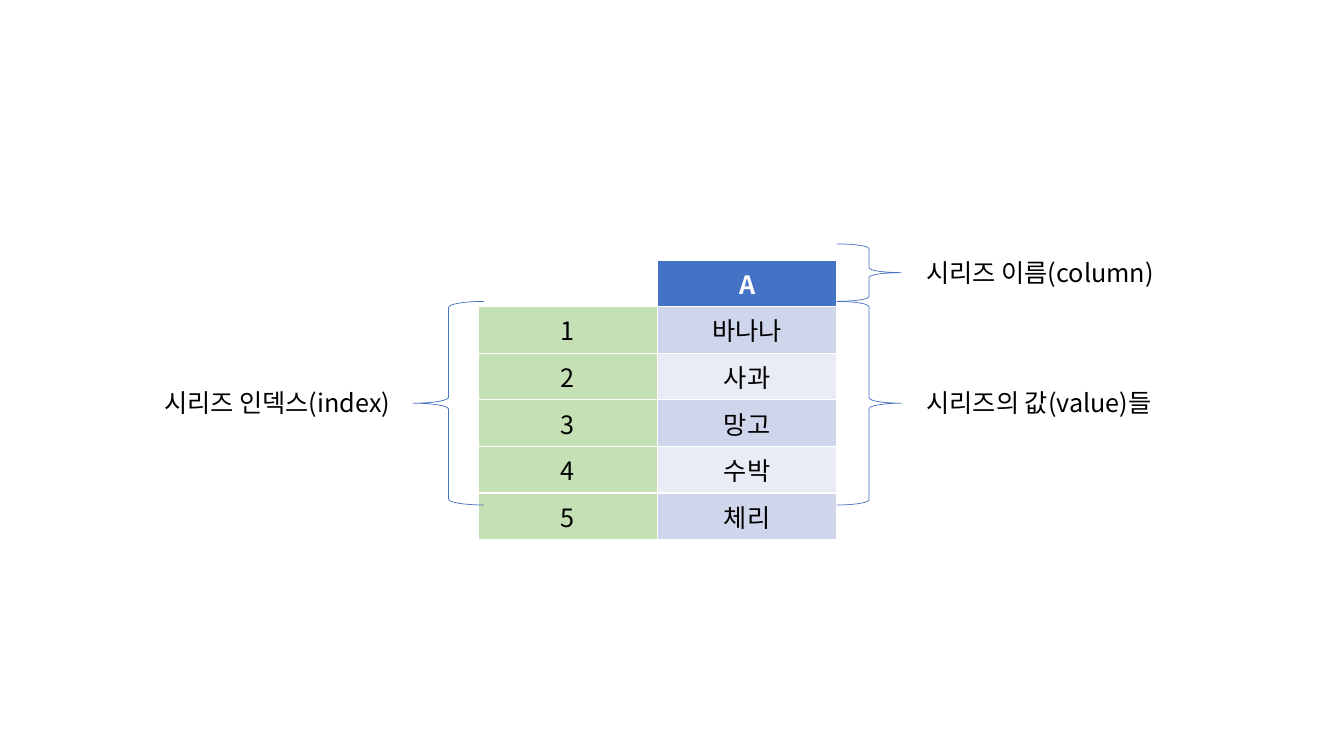
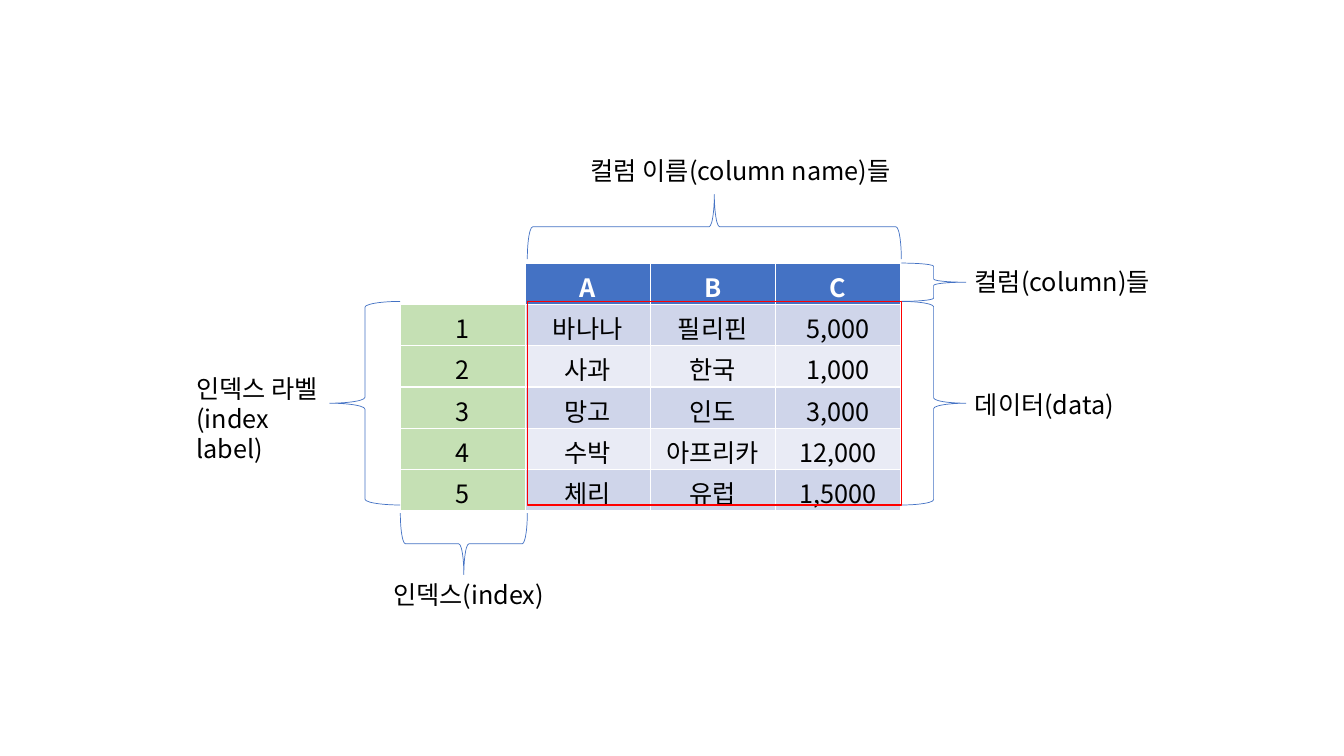
from dataclasses import dataclass

from pptx import Presentation
from pptx.dml.color import RGBColor
from pptx.enum import shapes, text
from pptx.oxml.ns import qn
from pptx.util import Inches, Pt


@dataclass(frozen=True)
class Theme:
    font: str = "Noto Sans CJK KR"
    size: int = 18
    header: str = "4472C4"
    index: str = "C5E0B4"
    bands: tuple = ("CFD5EA", "E9EBF5")
    white: str = "FFFFFF"
    ink: str = "000000"
    frame: str = "FF0000"
    brace_line: float = 0.5
    frame_line: float = 1


THEME = Theme()
ROW = 0.41
BODY_TOP, BODY_HEIGHT = 2.99, 2.02
BRACE = 0.64
INDEX_BRACE = 0.7

# Content: table rows, then labels as (lines, left, top, width, height)
FRUITS = ["바나나", "사과", "망고", "수박", "체리"]
ORIGINS = ["필리핀", "한국", "인도", "아프리카", "유럽"]
PRICES = ["5,000", "1,000", "3,000", "12,000", "1,5000"]
INDEX = ["1", "2", "3", "4", "5"]

SERIES = [("", "A"), *zip(INDEX, FRUITS)]
FRAME = [("", "A", "B", "C"), *zip(INDEX, FRUITS, ORIGINS, PRICES)]

SERIES_LABELS = [
    (["시리즈의 값(value)들"], 9.09, 3.79, 2.55, 0.4),
    (["시리즈 이름(column)"], 9.09, 2.5, 2.64, 0.4),
    (["시리즈 인덱스(index)"], 1.53, 3.79, 2.57, 0.4),
]
FRAME_LABELS = [
    (["컬럼 이름(column name)들"], 5.76, 1.49, 3.28, 0.4),
    (["컬럼(column)들"], 9.57, 2.59, 1.96, 0.4),
    (["인덱스 라벨", "(index label)"], 1.85, 3.65, 1.6, 0.71),
    (["인덱스(index)"], 3.8, 5.7, 1.73, 0.4),
    (["데이터(data)"], 9.57, 3.81, 1.62, 0.4),
]


def rgb(value):
    return RGBColor.from_string(value)


def add_span(para, words, color=THEME.ink, bold=False):
    span = para.add_run()
    span.text = words
    font = span.font
    font.name, font.size, font.bold = THEME.font, Pt(THEME.size), bold
    font.color.rgb = rgb(color)
    east_asian = span._r.get_or_add_rPr().makeelement(
        qn("a:ea"), {"typeface": THEME.font})
    font._element.find(qn("a:latin")).addnext(east_asian)


def cell_fill(row, column):
    if row == 0:
        return THEME.header if column else THEME.white
    return THEME.bands[(row - 1) % 2] if column else THEME.index


def add_grid(page, rows, left, top, column_width, bottom_margin):
    table = page.shapes.add_table(
        len(rows), len(rows[0]), Inches(left), Inches(top),
        Inches(column_width * len(rows[0])), Inches(ROW * len(rows))).table
    for column in table.columns:
        column.width = Inches(column_width)
    for r, values in enumerate(rows):
        table.rows[r].height = Inches(ROW)
        for c, value in enumerate(values):
            cell = table.cell(r, c)
            cell.margin_bottom = Inches(bottom_margin)
            cell.fill.solid()
            cell.fill.fore_color.rgb = rgb(cell_fill(r, c))
            para = cell.text_frame.paragraphs[0]
            para.alignment = text.PP_ALIGN.CENTER
            if value:
                add_span(para, value, THEME.ink if r else THEME.white, r == 0)


def add_outline(page, kind, left, top, width, height, color, weight):
    shape = page.shapes.add_shape(
        kind, Inches(left), Inches(top), Inches(width), Inches(height))
    shape.shadow.inherit = False
    shape.fill.background()
    shape.line.color.rgb = rgb(color)
    shape.line.width = Pt(weight)
    return shape


def add_brace(page, left, top, width, height, rotation=0, flip=False):
    """Place a brace by its bounds as they look after rotation."""
    if rotation:
        left, top = left + (width - height) / 2, top + (height - width) / 2
        width, height = height, width
    brace = add_outline(page, shapes.MSO_SHAPE.RIGHT_BRACE, left, top,
                        width, height, THEME.header, THEME.brace_line)
    brace.rotation = rotation
    if flip:
        brace._element.spPr.xfrm.set("flipH", "1")


def add_label(page, lines, left, top, width, height):
    box = page.shapes.add_textbox(
        Inches(left), Inches(top), Inches(width), Inches(height))
    frame = box.text_frame
    frame.word_wrap = False
    frame.auto_size = text.MSO_AUTO_SIZE.SHAPE_TO_FIT_TEXT
    for i, line in enumerate(lines):
        para = frame.add_paragraph() if i else frame.paragraphs[0]
        add_span(para, line)


def add_side_braces(page, index_right, table_right, header_top):
    add_brace(page, index_right - INDEX_BRACE, BODY_TOP,
              INDEX_BRACE, BODY_HEIGHT, flip=True)
    add_brace(page, table_right, BODY_TOP, BRACE, BODY_HEIGHT)
    add_brace(page, table_right, header_top, BRACE, BODY_TOP - header_top)


deck = Presentation()
deck.slide_width, deck.slide_height = Inches(13.33), Inches(7.5)
series_page, frame_page = (
    deck.slides.add_slide(deck.slide_layouts[6]) for _ in range(2))

# Series: one named column
add_grid(series_page, SERIES, 4.74, 2.58, 1.78, 0.05)
add_side_braces(series_page, index_right=4.8, table_right=8.3, header_top=2.42)

# Data frame: three columns, with the data framed
frame_left, frame_top, frame_right = 3.97, 2.61, 8.94
data_left = 5.23
data_width = frame_right - data_left
add_grid(frame_page, FRAME, frame_left, frame_top, 1.24, 0)
add_side_braces(frame_page, frame_left, frame_right, frame_top)
add_brace(frame_page, data_left, 1.93, data_width, BRACE, rotation=270)
add_brace(frame_page, frame_left, 5.09, data_left - frame_left, 0.61, rotation=90)
add_outline(frame_page, shapes.MSO_SHAPE.RECTANGLE, data_left, BODY_TOP,
            data_width, BODY_HEIGHT, THEME.frame, THEME.frame_line)

# Labels
for page, labels in ((series_page, SERIES_LABELS), (frame_page, FRAME_LABELS)):
    for label in labels:
        add_label(page, *label)

deck.save("out.pptx")
